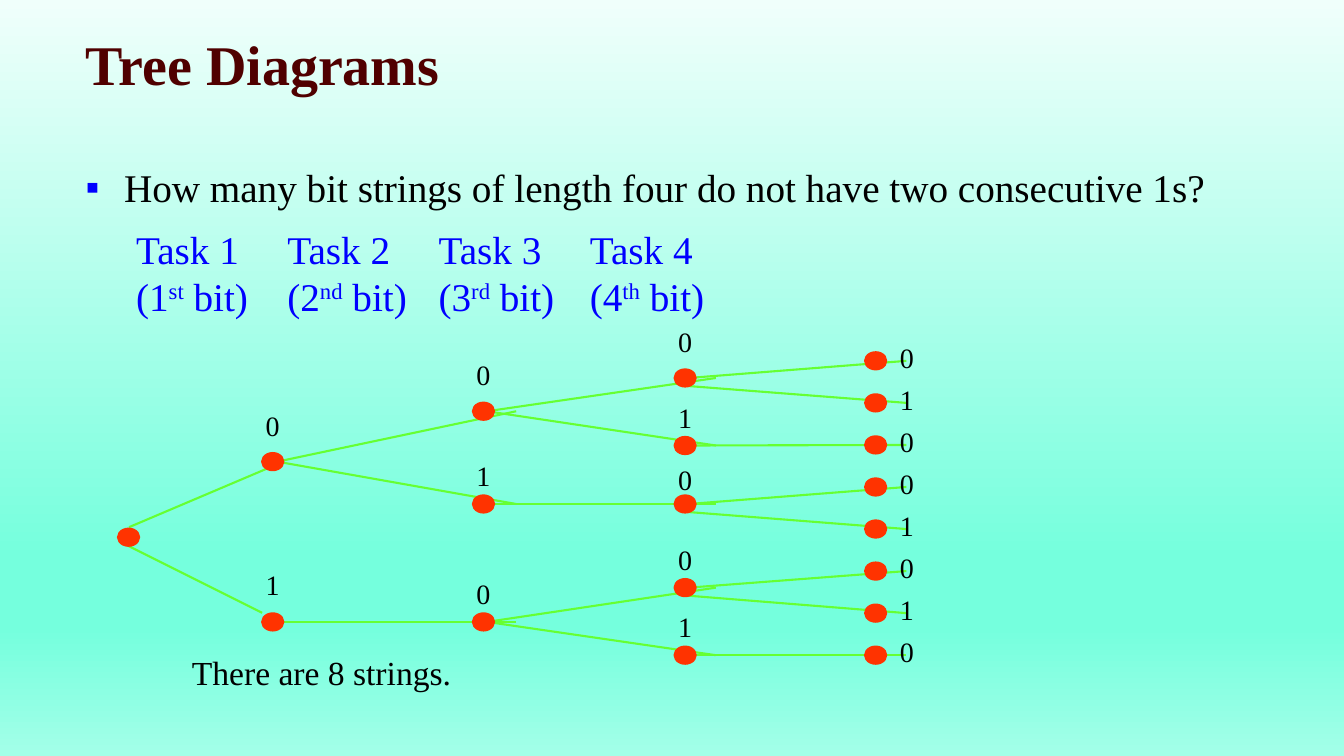
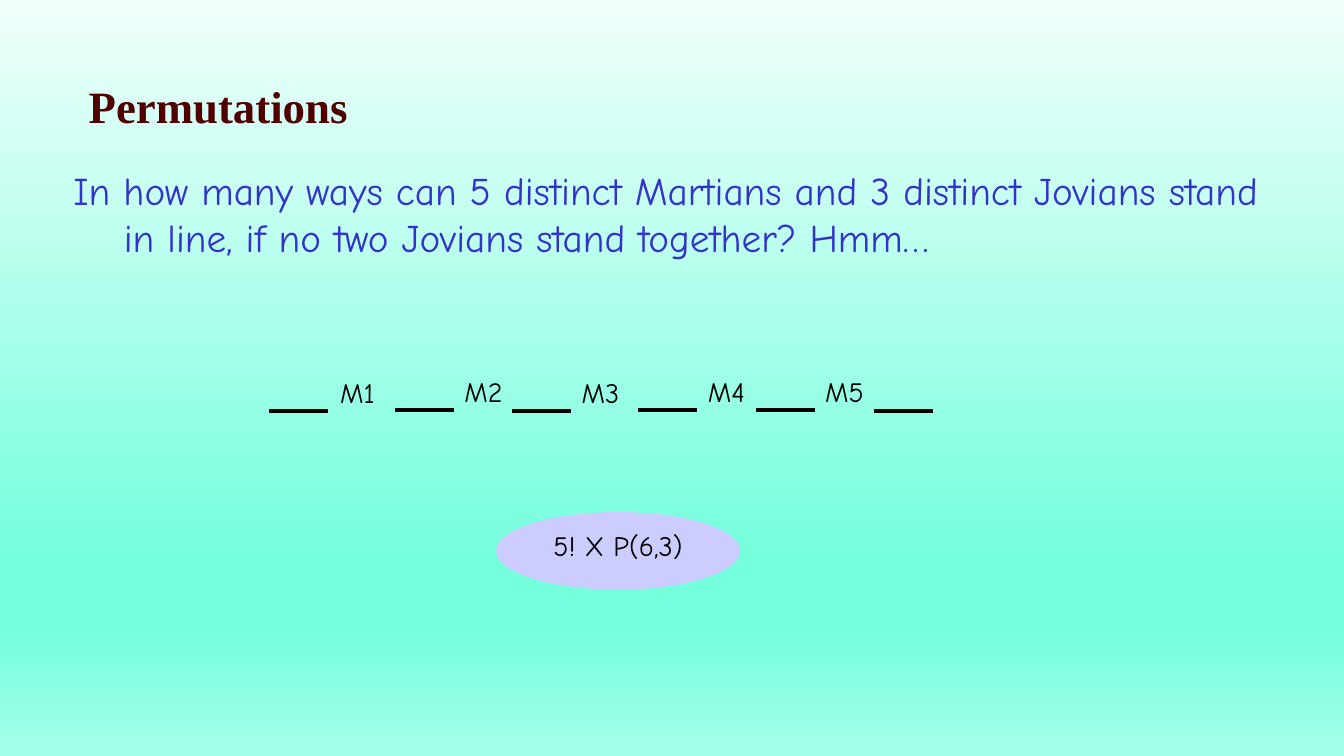
from dataclasses import dataclass

from lxml import etree
from pptx import Presentation
from pptx.dml.color import RGBColor
from pptx.enum.shapes import MSO_CONNECTOR, MSO_SHAPE
from pptx.enum.text import MSO_ANCHOR, MSO_AUTO_SIZE, PP_ALIGN
from pptx.oxml.ns import qn
from pptx.util import Inches, Pt


@dataclass(frozen=True)
class Theme:
    serif: str = "Times New Roman"
    hand: str = "Comic Neue"
    title: str = "500000"
    black: str = "000000"
    blue: str = "0000FF"
    question: str = "3333CC"
    node: str = "FF3300"
    branch: str = "66FF33"
    answer: str = "CCCCFF"
    title_size: int = 40
    small_title_size: int = 32
    body_size: int = 28
    note_size: int = 24
    label_size: int = 20
    background: tuple = ((0, "F0FFFB"), (74, "75FFDD"), (83, "75FFDD"), (100, "A3FFE8"))


theme = Theme()


def style_text(paragraph, font_name, size, color, bold=None):
    paragraph.font.name = font_name
    paragraph.font.size = Pt(size)
    paragraph.font.bold = bold
    paragraph.font.color.rgb = RGBColor.from_string(color)


def add_line(shapes, start, end, color, width):
    line = shapes.add_connector(MSO_CONNECTOR.STRAIGHT, *map(Inches, start + end))
    line.line.color.rgb = RGBColor.from_string(color)
    line.line.width = Pt(width)
    etree.SubElement(line._element.spPr, qn("a:effectLst"))


presentation = Presentation()
presentation.slide_width = Inches(13.33)
presentation.slide_height = Inches(7.5)

# Shared background on the slide master
background_fill = presentation.slide_master.background.fill
background_fill.gradient()
background_fill.gradient_angle = 270
stop_list = presentation.slide_master._element.find(".//" + qn("a:gsLst"))
for stop in list(stop_list):
    stop_list.remove(stop)
for position, color in theme.background:
    stop = etree.SubElement(stop_list, qn("a:gs"), pos=str(position * 1000))
    etree.SubElement(stop, qn("a:srgbClr"), val=color)

# Slides and their titles: layout, text, box, left margin, size
slides = []
for layout, text, box, margin, size in (
    (1, "Tree Diagrams", (0.75, 0.25, 11.16, 0.75), 0.1, theme.title_size),
    (5, "Permutations", (0.67, 0.42, 10.67, 1.25), 0.21, theme.small_title_size),
):
    slide = presentation.slides.add_slide(presentation.slide_layouts[layout])
    title = slide.shapes.title
    title.left, title.top, title.width, title.height = map(Inches, box)
    frame = title.text_frame
    frame.text = text
    frame.auto_size = MSO_AUTO_SIZE.NONE
    frame.vertical_anchor = MSO_ANCHOR.MIDDLE
    frame.margin_left = Inches(margin)
    frame.paragraphs[0].alignment = PP_ALIGN.LEFT
    style_text(frame.paragraphs[0], theme.serif, size, theme.title, bold=True)
    slides.append(slide)
tree_slide, permutation_slide = slides

# Tree slide: question with a square bullet
body = tree_slide.placeholders[1]
body.left, body.top, body.width, body.height = map(Inches, (0.75, 1.57, 12.35, 2.5))
body.text_frame.auto_size = MSO_AUTO_SIZE.NONE
question = body.text_frame.paragraphs[0]
question.text = "How many bit strings of length four do not have two consecutive 1s?"
properties = question._p.get_or_add_pPr()
properties.set("marL", str(Inches(0.38)))
properties.set("indent", str(-Inches(0.38)))
bullet_color = etree.SubElement(properties, qn("a:buClr"))
etree.SubElement(bullet_color, qn("a:srgbClr"), val=theme.blue)
etree.SubElement(properties, qn("a:buChar"), char="▪")
style_text(question, theme.serif, theme.body_size, theme.black)

# Task headings above the columns of the tree, set on tab stops
tasks = body.text_frame.add_paragraph()
properties = tasks._p.get_or_add_pPr()
properties.set("marL", "0")
properties.set("indent", "0")
etree.SubElement(properties, qn("a:buNone"))
tab_list = etree.SubElement(properties, qn("a:tabLst"))
for position in (1, 3, 5, 7):
    etree.SubElement(tab_list, qn("a:tab"), pos=str(Inches(position)), algn="l")
tasks.space_before = Pt(10.7)
style_text(tasks, theme.serif, theme.body_size, theme.blue)
tasks.add_run().text = "\tTask 1\tTask 2\tTask 3\tTask 4"
tasks.add_line_break()
for number, ordinal in enumerate(("st", "nd", "rd", "th"), start=1):
    tasks.add_run().text = f"\t({number}"
    suffix = tasks.add_run()
    suffix.text = ordinal
    suffix._r.get_or_add_rPr().set("baseline", "30000")
    tasks.add_run().text = " bit)"

# Tree columns: node left, branch start and end, nodes (bit, centre, label top, parent)
leaf_gap = 2.92 / 7
leaf_bits = zip("01001010", (0, 0, 1, 2, 2, 3, 3, 4))
leaves = [
    (bit, 3.58 + i * leaf_gap, 3.33 + i * leaf_gap, parent)
    for i, (bit, parent) in enumerate(leaf_bits)
]
columns = [
    (2.6, None, None, [("0", 4.58, 4, 0), ("1", 6.17, 5.58, 0)]),
    (4.69, 2.75, 5.12, [("0", 4.08, 3.5, 0), ("1", 5, 4.5, 0), ("0", 6.17, 5.67, 1)]),
    (6.69, 4.83, 7.1, [
        ("0", 3.75, 3.17, 0), ("1", 4.42, 3.92, 0), ("0", 5, 4.54, 1),
        ("0", 5.83, 5.33, 2), ("1", 6.5, 6, 2),
    ]),
    (8.58, 6.83, 8.99, leaves),
]
node_width, node_height = 0.21, 0.17
nodes = [(tree_slide.shapes, 1.17, 5.33)]
labels = []

# Branches
add_line(tree_slide.shapes, (1.28, 5.23), (2.67, 4.64), theme.branch, 1.5)
add_line(tree_slide.shapes, (1.2, 5.38), (2.6, 6.08), theme.branch, 1.5)
for (_, _, _, parents), (_, start, end, children) in zip(columns, columns[1:]):
    for bit, center, _, parent in children:
        lowered = 0.08 if children is leaves and bit == "1" else 0
        parent_center = parents[parent][1] + lowered
        add_line(tree_slide.shapes, (start, parent_center), (end, center), theme.branch, 1.5)

# Each node is grouped with its bit
for node_left, _, _, children in columns:
    label_offset = 0.21 if children is leaves else -0.1
    for bit, center, label_top, _ in children:
        shapes = tree_slide.shapes.add_group_shape().shapes
        nodes.append((shapes, node_left, center))
        label_box = (node_left + label_offset, label_top, 0.41, 0.43)
        labels.append((shapes, bit, label_box, theme.serif, theme.label_size))

for shapes, left, center in nodes:
    box = (left, center - node_height / 2, node_width, node_height)
    node = shapes.add_shape(MSO_SHAPE.OVAL, *map(Inches, box))
    node.shadow.inherit = False
    node.fill.solid()
    node.fill.fore_color.rgb = RGBColor.from_string(theme.node)
    node.line.color.rgb = RGBColor.from_string(theme.node)
    node.line.width = Pt(1.5)

labels.append((tree_slide.shapes, "There are 8 strings.", (0.67, 6.42, 5.04, 0.5),
               theme.serif, theme.note_size))

# Permutation slide: question with a hanging indent
question_box = permutation_slide.shapes.add_textbox(*map(Inches, (0.63, 1.6, 12.04, 0.75)))
question_box.text_frame.word_wrap = True
question = question_box.text_frame.paragraphs[0]
question.text = (
    "In how many ways can 5 distinct Martians and 3 distinct Jovians stand in line, "
    "if no two Jovians stand together? Hmm…"
)
properties = question._p.get_or_add_pPr()
properties.set("marL", str(Inches(0.5)))
properties.set("indent", str(-Inches(0.5)))
style_text(question, theme.hand, theme.body_size, theme.question)

# Places for Jovians, with the Martians between them
lineup = permutation_slide.shapes.add_group_shape().shapes
places = ((2.67, 4.08), (3.92, 4.07), (5.08, 4.08), (6.33, 4.07), (7.5, 4.07), (8.67, 4.08))
for left, top in places:
    add_line(lineup, (left, top), (left + 0.58, top), theme.black, 3)
for number, (left, top) in enumerate(places[:-1], start=1):
    martian_box = (left + 0.5, top - 0.4, 0.75, 0.44)
    labels.append((lineup, f"M{number}", martian_box, theme.hand, theme.label_size))

# Centred labels of both slides
for shapes, text, box, font_name, size in labels:
    label = shapes.add_textbox(*map(Inches, box))
    label.text_frame.word_wrap = True
    paragraph = label.text_frame.paragraphs[0]
    paragraph.text = text
    paragraph.alignment = PP_ALIGN.CENTER
    style_text(paragraph, font_name, size, theme.black)

# Answer
answer = permutation_slide.shapes.add_shape(
    MSO_SHAPE.OVAL, *map(Inches, (4.92, 5.08, 2.42, 0.77)))
answer.shadow.inherit = False
answer.fill.solid()
answer.fill.fore_color.rgb = RGBColor.from_string(theme.answer)
answer.line.fill.background()
answer.text_frame.margin_bottom = Inches(0.15)
paragraph = answer.text_frame.paragraphs[0]
paragraph.text = "5! X P(6,3)"
paragraph.alignment = PP_ALIGN.CENTER
style_text(paragraph, theme.hand, theme.label_size, theme.black)

presentation.save("out.pptx")
